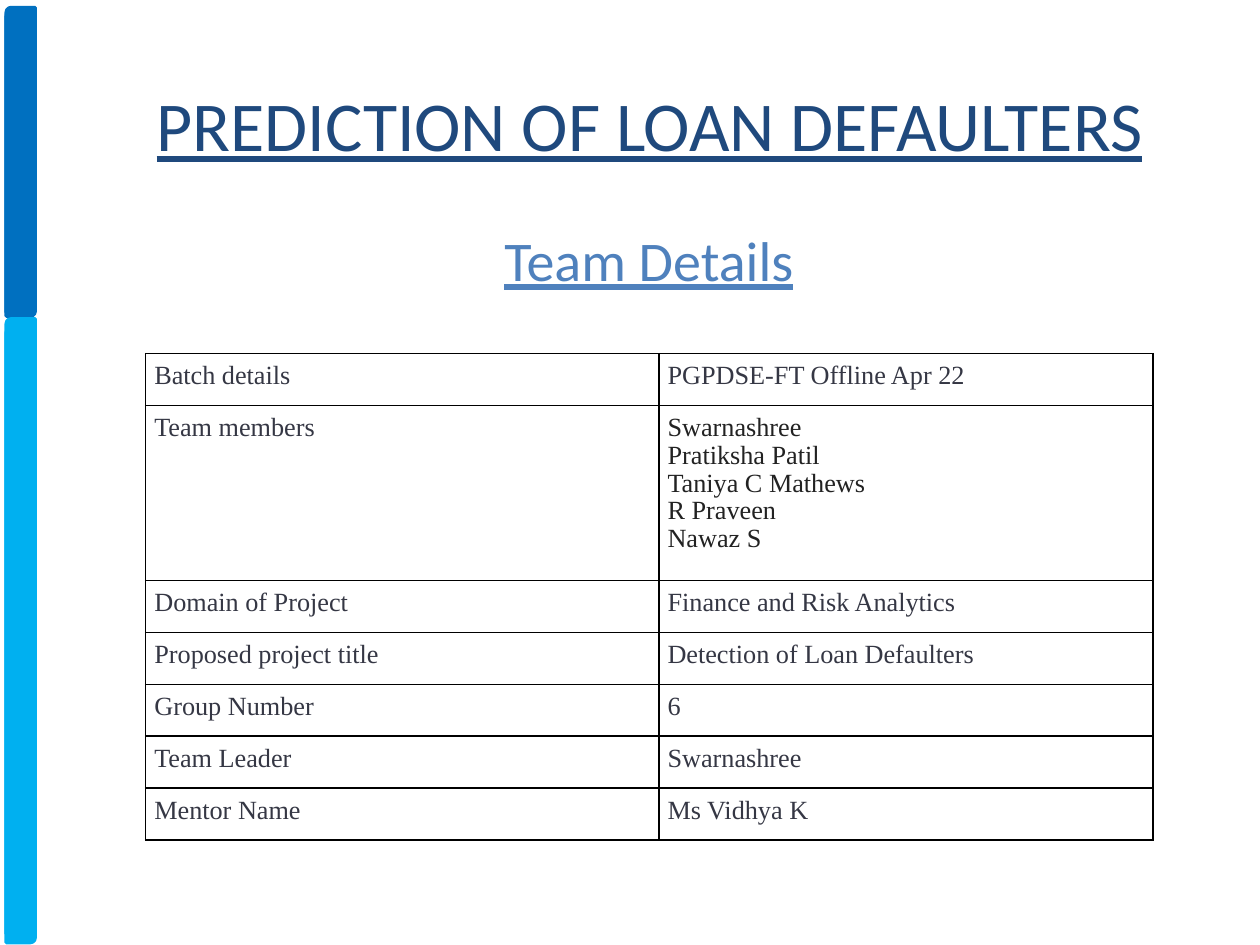
from pptx import Presentation
from pptx.dml.color import RGBColor
from pptx.enum.shapes import MSO_SHAPE
from pptx.enum.text import MSO_ANCHOR, MSO_AUTO_SIZE, PP_ALIGN
from pptx.oxml import parse_xml
from pptx.oxml.ns import nsdecls
from pptx.util import Pt

COLORS = {
    "dark_bar": "0070C0",
    "light_bar": "00B0F0",
    "title": "1F497D",
    "subtitle": "4F81BD",
    "text": "353744",
    "members": "222222",
    "border": "000000",
}
MEMBERS = "Swarnashree\nPratiksha Patil\nTaniya C Mathews\nR Praveen\nNawaz S"
DETAILS = [
    ("Batch details", "PGPDSE-FT Offline Apr 22"),
    ("Team members", MEMBERS),
    ("Domain of Project", "Finance and Risk Analytics"),
    ("Proposed project title", "Detection of Loan Defaulters"),
    ("Group Number", "6"),
    ("Team Leader", "Swarnashree"),
    ("Mentor Name", "Ms Vidhya K"),
]
COLUMN_WIDTHS = (293.3, 282.5)
ROW_HEIGHT = 29.7
MEMBERS_HEIGHT = 100


def color(name):
    return RGBColor.from_string(COLORS[name])


def format_font(run, font_name, size, color_name):
    run.font.name = font_name
    run.font.size = Pt(size)
    run.font.color.rgb = color(color_name)


def add_bar(slide, top, height, color_name):
    bar = slide.shapes.add_shape(
        MSO_SHAPE.ROUND_2_DIAG_RECTANGLE, Pt(3.6), Pt(top), Pt(16.5), Pt(height))
    bar.shadow.inherit = False
    bar.fill.solid()
    bar.fill.fore_color.rgb = color(color_name)
    bar.line.color.rgb = color(color_name)
    bar.line.width = Pt(2)


def fill_heading(placeholder, text, box, size, color_name):
    left, top, width, height = box
    placeholder.left, placeholder.top = Pt(left), Pt(top)
    placeholder.width, placeholder.height = Pt(width), Pt(height)
    text_frame = placeholder.text_frame
    text_frame.text = text
    text_frame.word_wrap = True
    text_frame.auto_size = MSO_AUTO_SIZE.NONE
    text_frame.vertical_anchor = MSO_ANCHOR.TOP
    paragraph = text_frame.paragraphs[0]
    paragraph.alignment = PP_ALIGN.CENTER
    paragraph.space_before = Pt(0)
    run = paragraph.runs[0]
    format_font(run, "Calibri", size, color_name)
    run.font.underline = True


def set_borders(cell):
    properties = cell._tc.get_or_add_tcPr()
    for position, side in enumerate(("lnL", "lnR", "lnT", "lnB")):
        # Border lines must come before the cell fill
        properties.insert(position, parse_xml(
            f'<a:{side} {nsdecls("a")} w="{Pt(1)}"><a:solidFill>'
            f'<a:srgbClr val="{COLORS["border"]}"/></a:solidFill></a:{side}>'))


def fill_cell(cell, text, color_name):
    cell.fill.background()
    set_borders(cell)
    cell.margin_left = cell.margin_right = Pt(5)
    cell.margin_top = cell.margin_bottom = Pt(5)
    cell.text_frame.text = text
    for paragraph in cell.text_frame.paragraphs:
        paragraph.line_spacing = 0.96
        format_font(paragraph.runs[0], "Times New Roman", 15, color_name)


def add_details_table(slide, left, top):
    heights = [MEMBERS_HEIGHT if value == MEMBERS else ROW_HEIGHT
               for _, value in DETAILS]
    table = slide.shapes.add_table(
        len(DETAILS), len(COLUMN_WIDTHS), Pt(left), Pt(top),
        Pt(sum(COLUMN_WIDTHS)), Pt(sum(heights))).table
    table.first_row = False
    table.horz_banding = False
    for column, width in zip(table.columns, COLUMN_WIDTHS):
        column.width = Pt(width)
    for row, height, texts in zip(table.rows, heights, DETAILS):
        row.height = Pt(height)
        for cell, text in zip(row.cells, texts):
            fill_cell(cell, text, "members" if text == MEMBERS else "text")


def main():
    presentation = Presentation()
    presentation.slide_width = Pt(720)
    presentation.slide_height = Pt(540)
    slide = presentation.slides.add_slide(presentation.slide_layouts[0])

    # Side bars, in two slightly offset layers
    for dark_top, light_top in ((6.5, 187.2), (4.3, 182.2)):
        add_bar(slide, dark_top, 174.2, "dark_bar")
        add_bar(slide, light_top, 351.4, "light_bar")

    # Headings
    fill_heading(slide.shapes.title, "PREDICTION OF LOAN DEFAULTERS",
                 (43.2, 43.2, 656, 55.4), 40, "title")
    fill_heading(slide.placeholders[1], "Team Details",
                 (54.7, 125.3, 632.2, 46.1), 32, "subtitle")

    # Team details
    add_details_table(slide, 83.2, 202)

    presentation.save("out.pptx")


if __name__ == "__main__":
    main()
